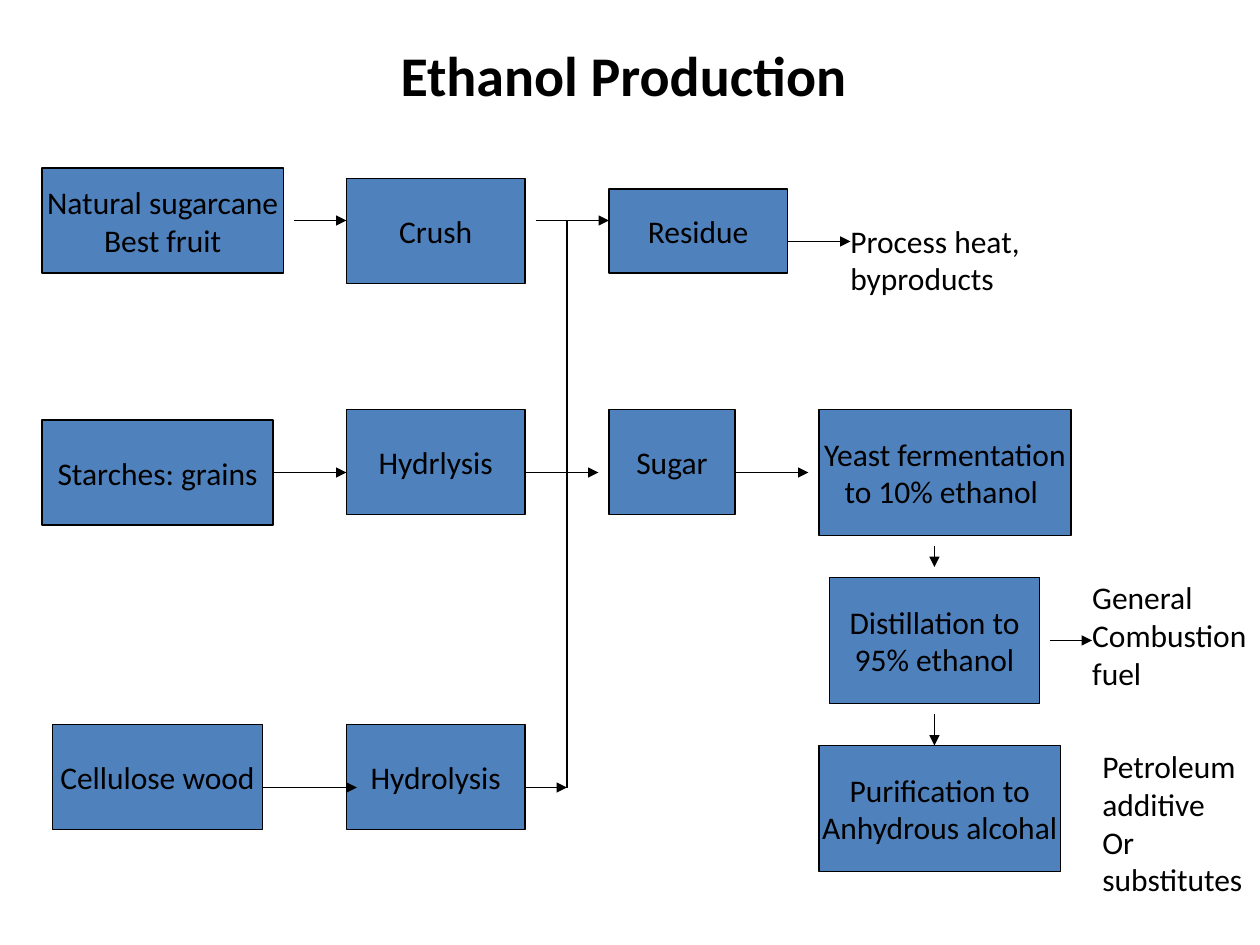
import pptx
import pptx.dml.color
import pptx.enum.shapes
import pptx.enum.text
import pptx.oxml
import pptx.oxml.ns
import pptx.util
from pptx.util import Inches

THEME = {
    "font": "Calibri",
    "ink": "000000",
    "box": "4F81BD",
    "title_size": 32,
    "body_size": 18,
    "line_width": 0.75,
}

TITLE = "Ethanol Production"

# The diagram lies on a grid of twelfths of an inch.
GRID = 12

# Process steps: lines of text, (left, top, width, height) in grid units
STEPS = [
    (["Natural sugarcane", "Best fruit"], (4, 16, 23, 10)),
    (["Starches: grains"], (4, 40, 22, 10)),
    (["Hydrlysis"], (33, 39, 17, 10)),
    (["Crush"], (33, 17, 17, 10)),
    (["Cellulose wood"], (5, 69, 20, 10)),
    (["Residue"], (58, 18, 17, 8)),
    (["Hydrolysis"], (33, 69, 17, 10)),
    (["Sugar"], (58, 39, 12, 10)),
    (["Yeast fermentation", "to 10% ethanol "], (78, 39, 24, 12)),
    (["Distillation to", "95% ethanol"], (79, 55, 20, 12)),
    (["Purification to", "Anhydrous alcohal"], (78, 71, 23, 12)),
]

# Arrows: start x, start y, end x, end y in grid units
ARROWS = [
    (28, 21, 33, 21),
    (26, 45, 33, 45),
    (25, 75, 34, 75),
    (51, 21, 58, 21),
    (50, 45, 57, 45),
    (50, 75, 54, 75),
    (75, 23, 81, 23),
    (70, 45, 77, 45),
    (89, 52, 89, 54),
    (89, 68, 89, 71),
    (100, 61, 104, 61),
]
COLLECTOR = (54, 21, 54, 75)

# Products: paragraphs, (left, top, width, height) in inches, wrapping
PRODUCTS = [
    (["Process heat,\vbyproducts"], (6.65, 1.71, 2.68, 0.4), False),
    (["General", "Combustion fuel"], (8.57, 4.54, 1.43, 1), True),
    (["Petroleum additive", "Or substitutes"], (8.65, 5.88, 1.35, 1.3), True),
]


def color(name):
    return pptx.dml.color.RGBColor.from_string(THEME[name])


def on_grid(units):
    return [Inches(unit / GRID) for unit in units]


def write_text(shape, lines, size="body_size", bold=False, align="LEFT",
               anchor="TOP", wrap=True):
    frame = shape.text_frame
    frame.auto_size = pptx.enum.text.MSO_AUTO_SIZE.NONE
    frame.word_wrap = wrap
    frame.vertical_anchor = pptx.enum.text.MSO_ANCHOR[anchor]
    frame.text = "\n".join(lines)
    for paragraph in frame.paragraphs:
        paragraph.alignment = pptx.enum.text.PP_ALIGN[align]
        for run in paragraph.runs:
            run.font.name = THEME["font"]
            run.font.size = pptx.util.Pt(THEME[size])
            run.font.bold = bold
            run.font.color.rgb = color("ink")


def style_line(line):
    line.color.rgb = color("ink")
    line.width = pptx.util.Pt(THEME["line_width"])


def add_step(slide, lines, place):
    step = slide.shapes.add_shape(
        pptx.enum.shapes.MSO_SHAPE.RECTANGLE, *on_grid(place))
    step.shadow.inherit = False
    step.fill.solid()
    step.fill.fore_color.rgb = color("box")
    style_line(step.line)
    write_text(step, lines, align="CENTER", anchor="MIDDLE", wrap=False)


def add_line(slide, ends, arrow=True):
    connector = slide.shapes.add_connector(
        pptx.enum.shapes.MSO_CONNECTOR.STRAIGHT, *on_grid(ends))
    style_line(connector.line)
    if arrow:
        head = pptx.oxml.parse_xml(
            f'<a:tailEnd {pptx.oxml.ns.nsdecls("a")} type="triangle"/>')
        connector.line._get_or_add_ln().append(head)
    properties = connector._element.spPr
    properties.append(pptx.oxml.parse_xml(
        f'<a:effectLst {pptx.oxml.ns.nsdecls("a")}/>'))


def main():
    presentation = pptx.Presentation()
    presentation.slide_width = Inches(10)
    presentation.slide_height = Inches(7.5)
    slide = presentation.slides.add_slide(presentation.slide_layouts[5])

    # Title
    title = slide.shapes.title
    title.left, title.top = Inches(1.9), Inches(0.27)
    title.width, title.height = Inches(6.1), Inches(0.63)
    write_text(title, [TITLE], size="title_size", bold=True, align="CENTER")

    # Flow diagram
    for lines, place in STEPS:
        add_step(slide, lines, place)
    add_line(slide, COLLECTOR, arrow=False)
    for ends in ARROWS:
        add_line(slide, ends)

    # Product labels
    for lines, place, wrap in PRODUCTS:
        label = slide.shapes.add_textbox(*map(Inches, place))
        write_text(label, lines, wrap=wrap)

    presentation.save("out.pptx")


if __name__ == "__main__":
    main()
